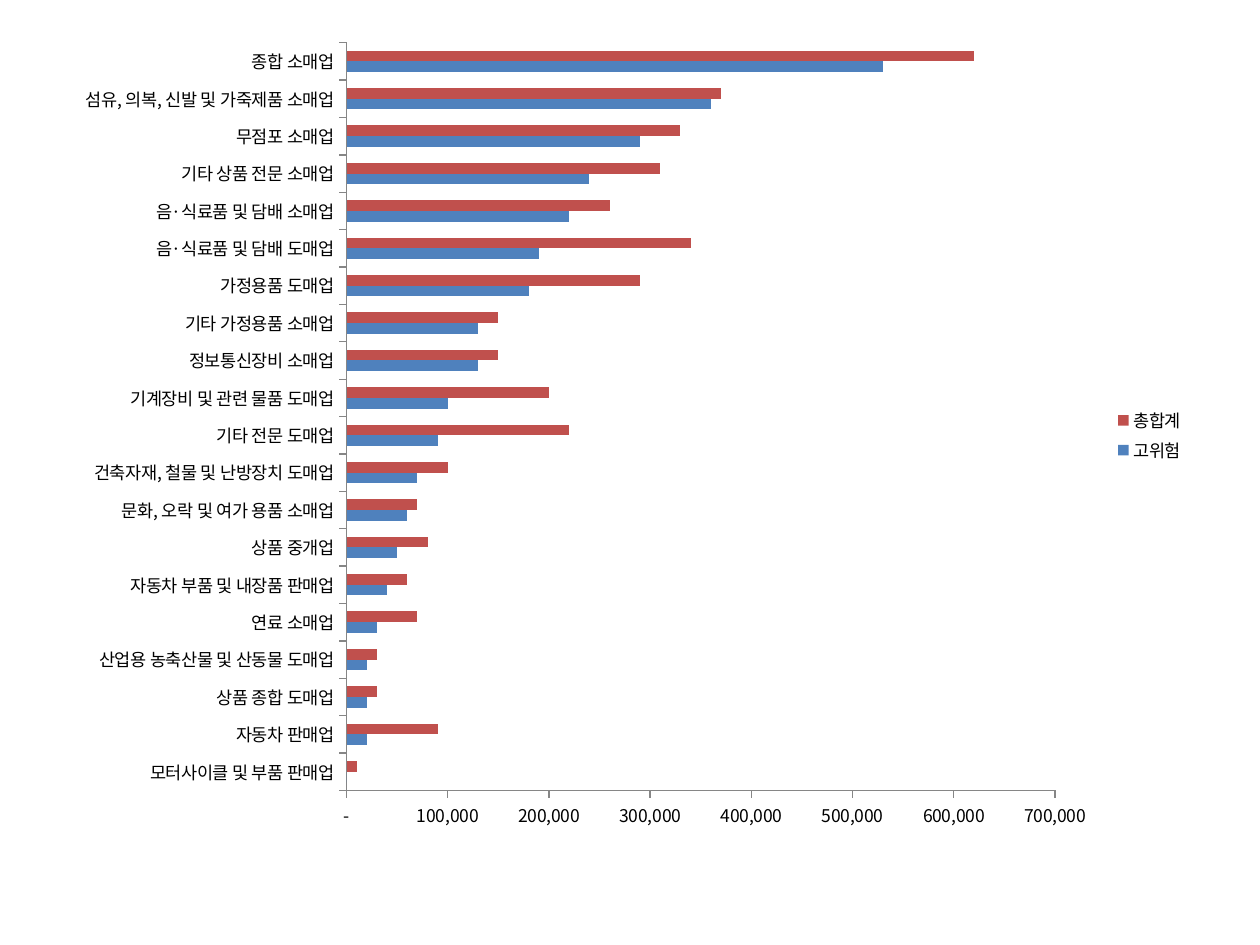
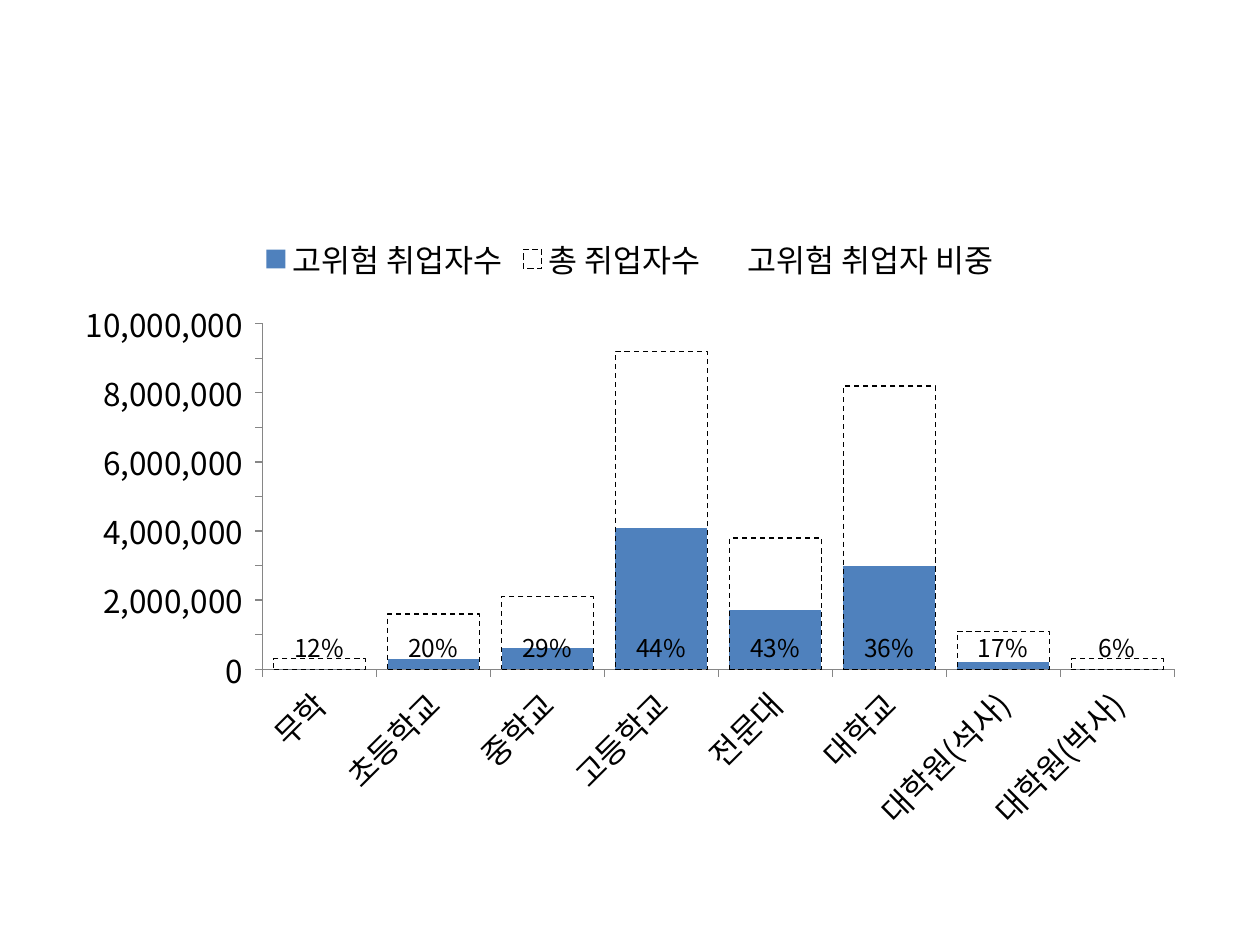
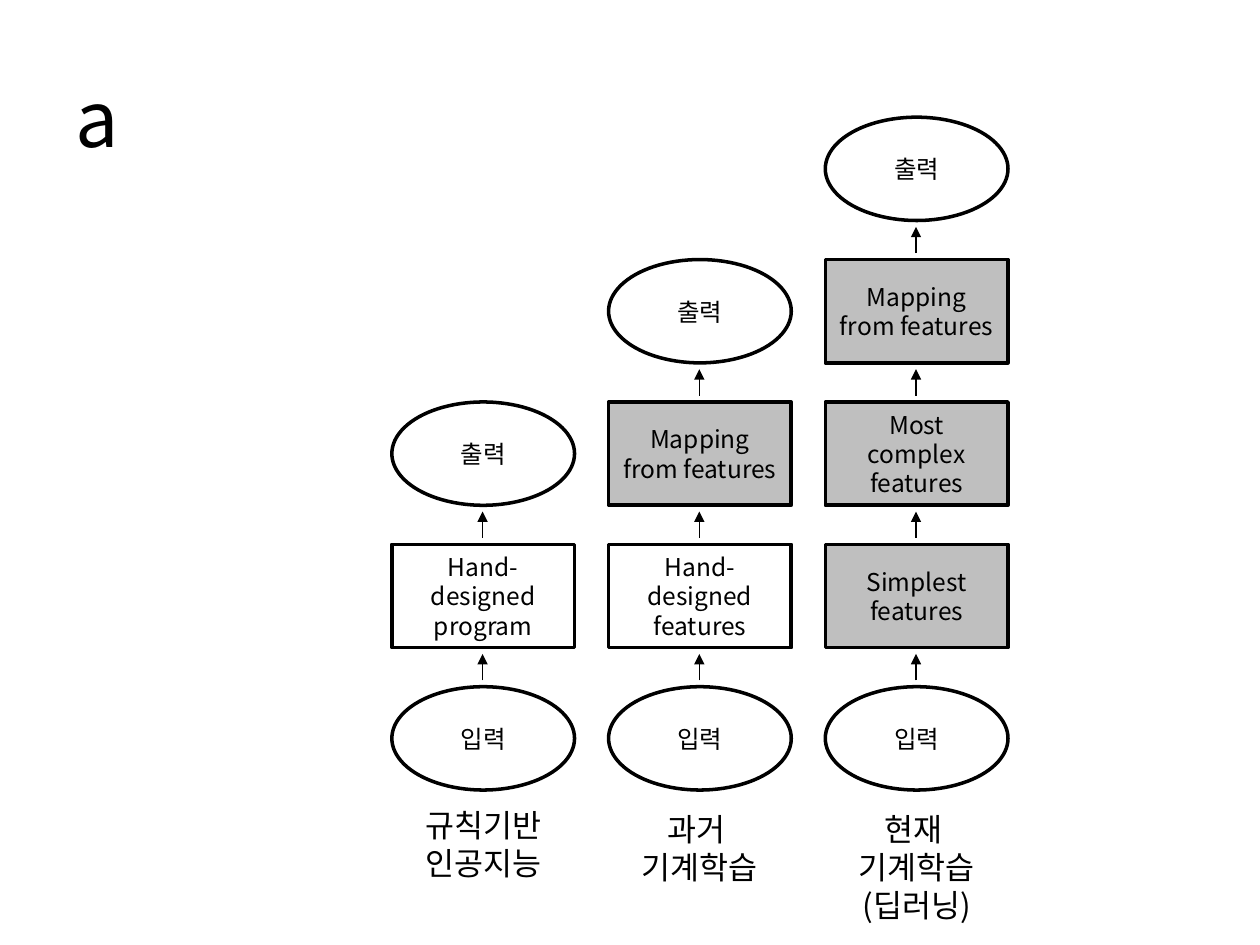
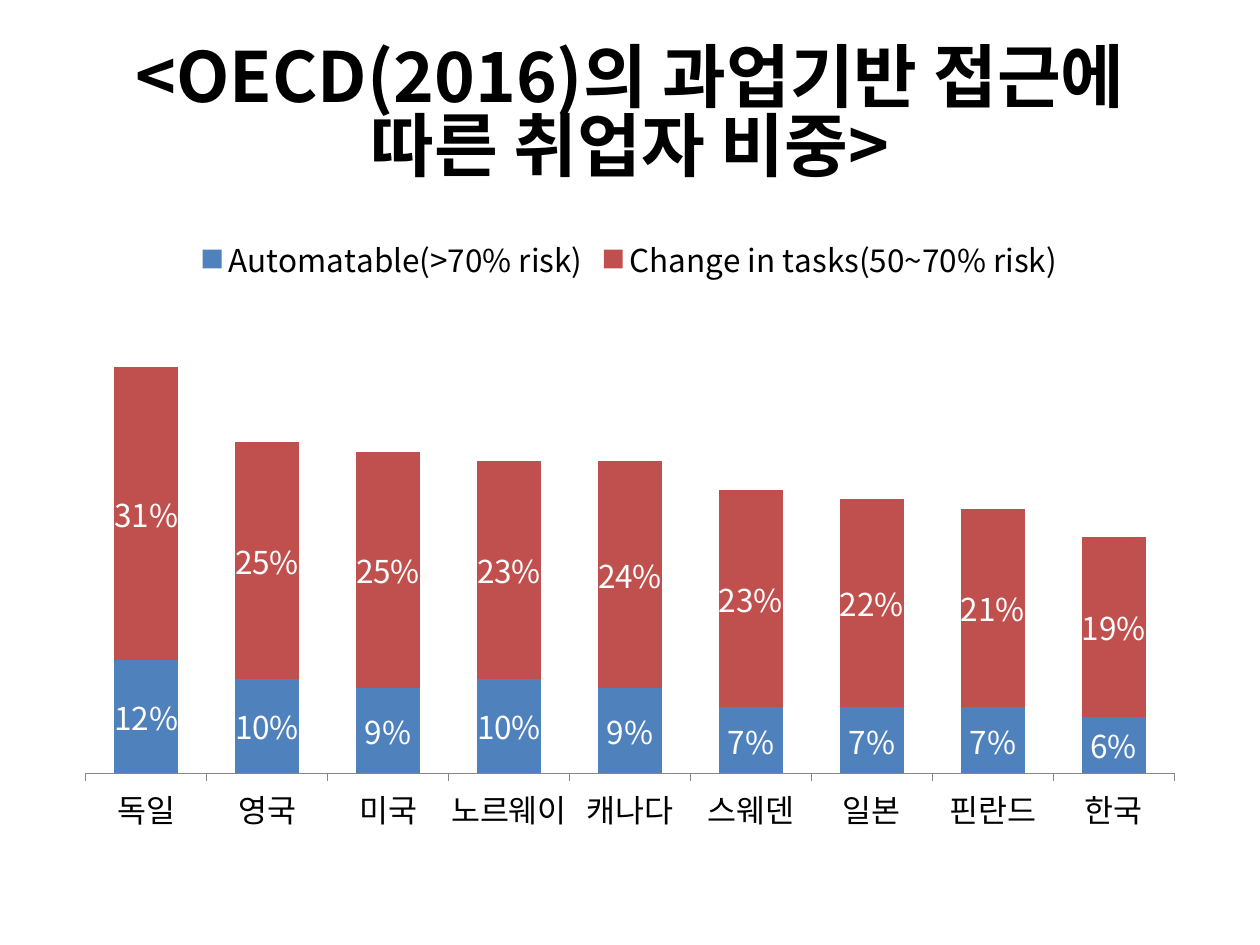
from copy import deepcopy
from lxml.etree import SubElement
from pptx import Presentation
from pptx.chart.data import CategoryChartData
from pptx.dml.color import RGBColor
from pptx.enum.chart import XL_CHART_TYPE, XL_LABEL_POSITION, XL_LEGEND_POSITION
from pptx.enum.dml import MSO_LINE
from pptx.enum.shapes import MSO_CONNECTOR, MSO_SHAPE
from pptx.enum.text import MSO_ANCHOR, MSO_AUTO_SIZE, PP_ALIGN
from pptx.oxml.ns import qn
from pptx.util import Inches, Pt

FONT = "Noto Sans CJK KR"
BLACK = RGBColor(0x00, 0x00, 0x00)
WHITE = RGBColor(0xFF, 0xFF, 0xFF)
BLUE = RGBColor(0x4F, 0x81, 0xBD)
RED = RGBColor(0xC0, 0x50, 0x4D)
GRAY = RGBColor(0xBF, 0xBF, 0xBF)
AXIS = RGBColor(0x86, 0x86, 0x86)

TRADES = [
    ("모터사이클 및 부품 판매업", 0, 10000),
    ("자동차 판매업", 20000, 90000),
    ("상품 종합 도매업", 20000, 30000),
    ("산업용 농축산물 및 산동물 도매업", 20000, 30000),
    ("연료 소매업", 30000, 70000),
    ("자동차 부품 및 내장품 판매업", 40000, 60000),
    ("상품 중개업", 50000, 80000),
    ("문화, 오락 및 여가 용품 소매업", 60000, 70000),
    ("건축자재, 철물 및 난방장치 도매업", 70000, 100000),
    ("기타 전문 도매업", 90000, 220000),
    ("기계장비 및 관련 물품 도매업", 100000, 200000),
    ("정보통신장비 소매업", 130000, 150000),
    ("기타 가정용품 소매업", 130000, 150000),
    ("가정용품 도매업", 180000, 290000),
    ("음·식료품 및 담배 도매업", 190000, 340000),
    ("음·식료품 및 담배 소매업", 220000, 260000),
    ("기타 상품 전문 소매업", 240000, 310000),
    ("무점포 소매업", 290000, 330000),
    ("섬유, 의복, 신발 및 가죽제품 소매업", 360000, 370000),
    ("종합 소매업", 530000, 620000),
]
SCHOOLS = [
    ("무학", 0, 300000, 0.12),
    ("초등학교", 300000, 1600000, 0.2),
    ("중학교", 600000, 2100000, 0.29),
    ("고등학교", 4100000, 9200000, 0.44),
    ("전문대", 1700000, 3800000, 0.43),
    ("대학교", 3000000, 8200000, 0.36),
    ("대학원(석사)", 200000, 1100000, 0.17),
    ("대학원(박사)", 0, 300000, 0.06),
]
NATIONS = [
    ("독일", 0.12, 0.31),
    ("영국", 0.1, 0.25),
    ("미국", 0.09, 0.25),
    ("노르웨이", 0.1, 0.23),
    ("캐나다", 0.09, 0.24),
    ("스웨덴", 0.07, 0.23),
    ("일본", 0.07, 0.22),
    ("핀란드", 0.07, 0.21),
    ("한국", 0.06, 0.19),
]
STACKS = [
    ("규칙기반 인공지능", 6.35, 0.71,
     [("입력", WHITE), ("Hand-designed program", WHITE), ("출력", WHITE)]),
    ("과거 \n기계학습", 6.38, 0.71,
     [("입력", WHITE), ("Hand-designed features", WHITE),
      ("Mapping from features", GRAY), ("출력", WHITE)]),
    ("현재 \n기계학습\n(딥러닝)", 6.38, 1.01,
     [("입력", WHITE), ("Simplest features", GRAY), ("Most complex features", GRAY),
      ("Mapping from features", GRAY), ("출력", WHITE)]),
]
TOP, LEFT = 5.45, 3.11
WIDE, HIGH = 1.45, 0.82
STEP, PITCH, GAP = 1.72, 1.13, 0.05


def style(font, size, color=BLACK, bold=None):
    font.size = Pt(size)
    font.color.rgb = color
    font.name = FONT
    font.bold = bold


def add_asian(root):
    for latin in list(root.iter(qn("a:latin"))):
        asian = deepcopy(latin)
        asian.tag = qn("a:ea")
        latin.addnext(asian)


def write(frame, text, size, align=PP_ALIGN.CENTER, bold=None):
    para = frame.paragraphs[0]
    para.text = text
    para.alignment = align
    for run in para.runs:
        style(run.font, size, bold=bold)
    return para


def add_title(slide, text, size, align, bold=None):
    title = slide.shapes.title
    title.left, title.top = Inches(0.5), Inches(0.3)
    title.width, title.height = Inches(9), Inches(1.25)
    frame = title.text_frame
    frame.auto_size = MSO_AUTO_SIZE.NONE
    frame.vertical_anchor = MSO_ANCHOR.MIDDLE
    return write(frame, text, size, align, bold)


def add_chart(slide, kind, rows, names, colors, top, size, form, gap, side):
    data = CategoryChartData()
    labels, *columns = zip(*rows)
    data.categories = labels
    for name, values in zip(names, columns):
        data.add_series(name, values)
    chart = slide.shapes.add_chart(
        kind, Inches(0.5), Inches(top), Inches(9), Inches(6.7 - top), data).chart
    style(chart.font, size)
    chart.has_title = False
    chart.has_legend = True
    chart.legend.position = side
    chart.legend.include_in_layout = False
    plot = chart.plots[0]
    plot.gap_width = gap
    plot.vary_by_categories = False
    for axis in (chart.category_axis, chart.value_axis):
        axis.has_major_gridlines = False
        axis.format.line.color.rgb = AXIS
    ticks = chart.value_axis.tick_labels
    ticks.number_format = form
    ticks.number_format_is_linked = False
    for series, color in zip(plot.series, colors):
        fill = series.format.fill
        if color is None:
            fill.background()
        else:
            fill.solid()
            fill.fore_color.rgb = color
    return chart


def add_labels(series, size, color, place):
    labels = series.data_labels
    style(labels.font, size, color)
    labels.show_value = True
    labels.number_format = "0%"
    labels.number_format_is_linked = False
    labels.position = place


def split_last(chart):
    area = chart._chartSpace.chart.plotArea
    first = area.find(qn("c:barChart"))
    second = deepcopy(first)
    first.remove(first.findall(qn("c:ser"))[-1])
    for bars in second.findall(qn("c:ser"))[:-1]:
        second.remove(bars)
    first.addnext(second)
    old = [node.get("val") for node in first.findall(qn("c:axId"))]
    swap = dict(zip(old, ("50010", "50020")))
    for node in second.findall(qn("c:axId")):
        node.set("val", swap[node.get("val")])
    last = area.find(qn("c:valAx"))
    for tag in ("c:catAx", "c:valAx"):
        axis = deepcopy(area.find(qn(tag)))
        for name in ("c:axId", "c:crossAx"):
            node = axis.find(qn(name))
            node.set("val", swap[node.get("val")])
        axis.find(qn("c:delete")).set("val", "1")
        if tag == "c:valAx":
            axis.find(qn("c:axPos")).set("val", "r")
            axis.find(qn("c:crosses")).set("val", "max")
        last.addnext(axis)
        last = axis


def add_trades(slide):
    return add_chart(
        slide, XL_CHART_TYPE.BAR_CLUSTERED, TRADES, ("고위험", "총합계"), (BLUE, RED),
        0.21, 10, '_(* #,##0_);_(* \\(#,##0\\);_(* "-"_);_(@_)', 150,
        XL_LEGEND_POSITION.RIGHT)


def add_schools(slide):
    chart = add_chart(
        slide, XL_CHART_TYPE.COLUMN_CLUSTERED, SCHOOLS,
        ("고위험 취업자수", "총 쥐업자수", "고위험 취업자 비중"), (BLUE, None, None),
        1.75, 18, "#,##0_);[Red]\\(#,##0\\)", 24, XL_LEGEND_POSITION.TOP)
    plot = chart.plots[0]
    plot.overlap = 100
    total, share = plot.series[1], plot.series[2]
    line = total.format.line
    line.color.rgb = BLACK
    line.width = Pt(0.75)
    line.dash_style = MSO_LINE.DASH
    share.format.line.fill.background()
    add_labels(share, 14, BLACK, XL_LABEL_POSITION.OUTSIDE_END)
    split_last(chart)
    return chart


def add_nations(slide):
    chart = add_chart(
        slide, XL_CHART_TYPE.COLUMN_STACKED, NATIONS,
        ("Automatable(>70% risk)", "Change in tasks(50~70% risk)"), (BLUE, RED),
        1.75, 18, "0%", 88, XL_LEGEND_POSITION.TOP)
    chart.plots[0].overlap = 100
    chart.value_axis.visible = False
    for series in chart.plots[0].series:
        add_labels(series, 18, WHITE, XL_LABEL_POSITION.CENTER)
    return chart


def add_node(slide, kind, left, top, text, color):
    node = slide.shapes.add_shape(kind, Inches(left), Inches(top), Inches(WIDE), Inches(HIGH))
    node.shadow.inherit = False
    node.fill.solid()
    node.fill.fore_color.rgb = color
    node.line.color.rgb = BLACK
    node.line.width = Pt(2)
    node.text_frame.word_wrap = True
    node.text_frame.vertical_anchor = MSO_ANCHOR.MIDDLE
    write(node.text_frame, text, 14)


def add_arrow(slide, mid, start, end):
    arrow = slide.shapes.add_connector(
        MSO_CONNECTOR.STRAIGHT, Inches(mid), Inches(start), Inches(mid), Inches(end))
    arrow.line.color.rgb = BLACK
    arrow.line.width = Pt(0.75)
    SubElement(arrow.line._get_or_add_ln(), qn("a:tailEnd"), type="triangle")
    SubElement(arrow._element.spPr, qn("a:effectLst"))


def add_stacks(slide):
    for col, (name, top, high, steps) in enumerate(STACKS):
        left = LEFT + col * STEP
        for row, (text, color) in enumerate(steps):
            level = TOP - row * PITCH
            end = row in (0, len(steps) - 1)
            kind = MSO_SHAPE.OVAL if end else MSO_SHAPE.RECTANGLE
            add_node(slide, kind, left, level, text, color)
            if row:
                add_arrow(slide, left + 0.72, level + PITCH - GAP, level + HIGH + GAP)
        box = slide.shapes.add_textbox(Inches(left), Inches(top), Inches(WIDE), Inches(high))
        box.text_frame.word_wrap = True
        box.text_frame.auto_size = MSO_AUTO_SIZE.SHAPE_TO_FIT_TEXT
        write(box.text_frame, name, 18)


def main():
    deck = Presentation()
    deck.slide_width, deck.slide_height = Inches(10), Inches(7.5)
    titled, blank = deck.slide_layouts[5], deck.slide_layouts[6]
    trades, schools, stacks, nations = [
        deck.slides.add_slide(layout) for layout in (blank, blank, titled, titled)]
    add_title(stacks, "a", 44, PP_ALIGN.LEFT)
    add_stacks(stacks)
    head = add_title(nations, "<OECD(2016)의 과업기반 접근에 따른 취업자 비중>", 39.6,
                     PP_ALIGN.CENTER, True)
    head.line_spacing = 0.82
    charts = add_trades(trades), add_schools(schools), add_nations(nations)
    for chart in charts:
        add_asian(chart._chartSpace)
    for slide in deck.slides:
        add_asian(slide._element)
    deck.save("out.pptx")


if __name__ == "__main__":
    main()
